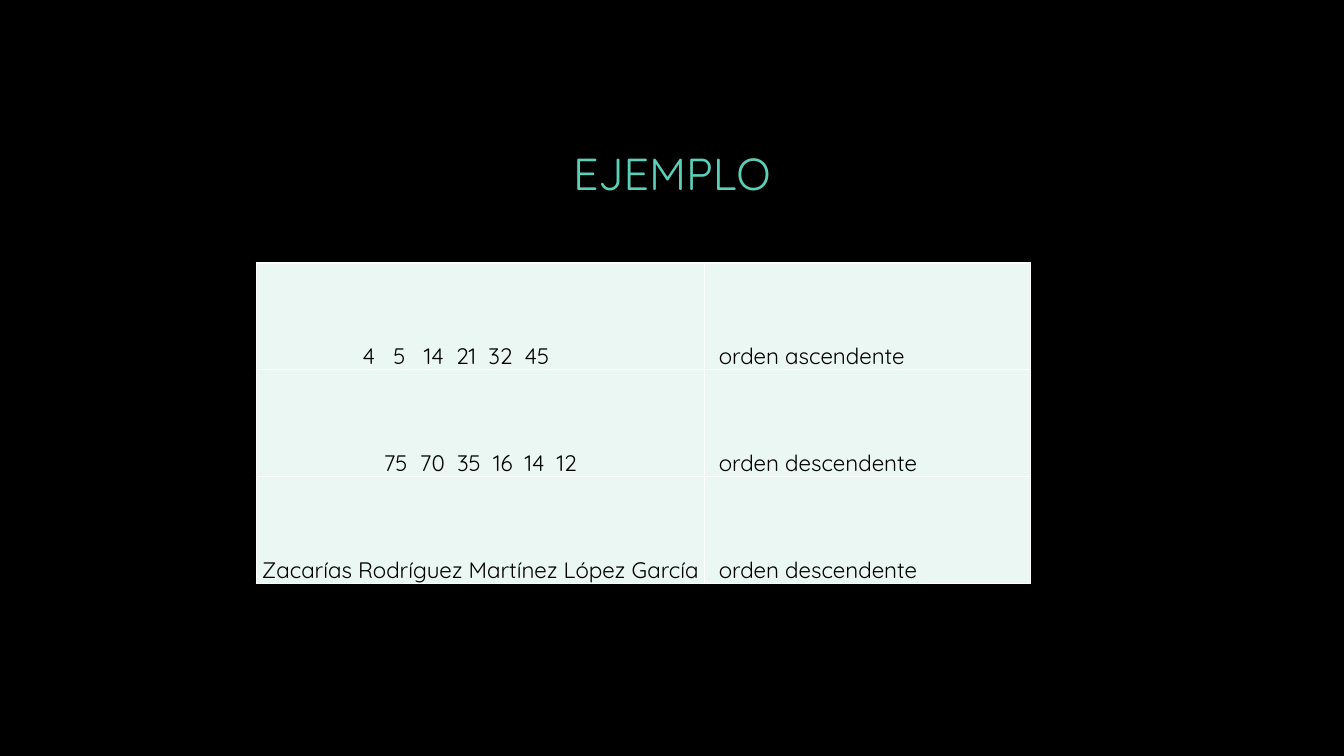
from lxml import etree
from pptx import Presentation
from pptx import util as u
from pptx.dml import color
from pptx.enum import text
from pptx.oxml import ns


def hue(code):
    return color.RGBColor.from_string(code)


def style(para, size, code, align, space=None):
    para.alignment = align
    para.line_spacing = space
    look = {"name": "Quicksand", "size": u.Pt(size), "bold": False}
    for key, value in look.items():
        setattr(para.runs[0].font, key, value)
    para.runs[0].font.color.rgb = hue(code)


deck = Presentation()
deck.slide_width = u.Inches(13.33)
deck.slide_height = u.Inches(7.5)
slide = deck.slides.add_slide(deck.slide_layouts[5])
slide.background.fill.solid()
slide.background.fill.fore_color.rgb = hue("000000")

title = slide.shapes.title
place = {"left": 1.25, "top": 0.67, "width": 10.83, "height": 2.08}
for key, value in place.items():
    setattr(title, key, u.Inches(value))
title.text_frame.text = "EJEMPLO"
title.text_frame.vertical_anchor = text.MSO_ANCHOR.MIDDLE
style(title.text_frame.paragraphs[0], 32, "5AD0B8", text.PP_ALIGN.CENTER)

left, mid, right = text.PP_ALIGN.LEFT, text.PP_ALIGN.CENTER, text.PP_ALIGN.RIGHT
rows = [
    [("4   5   14  21  32  45", right, u.Pt(10.7), 0, 1.54),
     ("orden ascendente", left, u.Pt(12), 0.14, 0)],
    [("75  70  35  16  14  12", mid, u.Pt(10.7), 0, 0),
     ("orden descendente", left, u.Pt(11.6), 0.14, 0)],
    [("Zacarías Rodríguez Martínez López García", mid, 1.15, 0, 0),
     ("orden descendente", left, u.Pt(11.8), 0.14, 0)],
]
table = slide.shapes.add_table(
    len(rows), 2, u.Inches(2.54), u.Inches(2.61), u.Inches(7.68), u.Inches(3.17)
).table
table.first_row = table.horz_banding = False
for col, width in zip(table.columns, (4.45, 3.23)):
    col.width = u.Inches(width)

for row, items in zip(table.rows, rows):
    row.height = u.Inches(1.06)
    for cell, (words, align, space, start, end) in zip(row.cells, items):
        cell.text = words
        cell.vertical_anchor = text.MSO_ANCHOR.BOTTOM
        inset = {"left": start, "right": end, "top": 0, "bottom": 0}
        for side, value in inset.items():
            setattr(cell, "margin_" + side, u.Inches(value))
        style(cell.text_frame.paragraphs[0], 16, "000000", align, space)
        props = cell._tc.get_or_add_tcPr()
        for side in ("lnL", "lnR", "lnT", "lnB"):
            edge = etree.SubElement(props, ns.qn("a:" + side), w=str(u.Pt(1)))
            fill = etree.SubElement(edge, ns.qn("a:solidFill"))
            etree.SubElement(fill, ns.qn("a:srgbClr"), val="FFFFFF")
        cell.fill.solid()
        cell.fill.fore_color.rgb = hue("EAF7F3")

deck.save("out.pptx")
